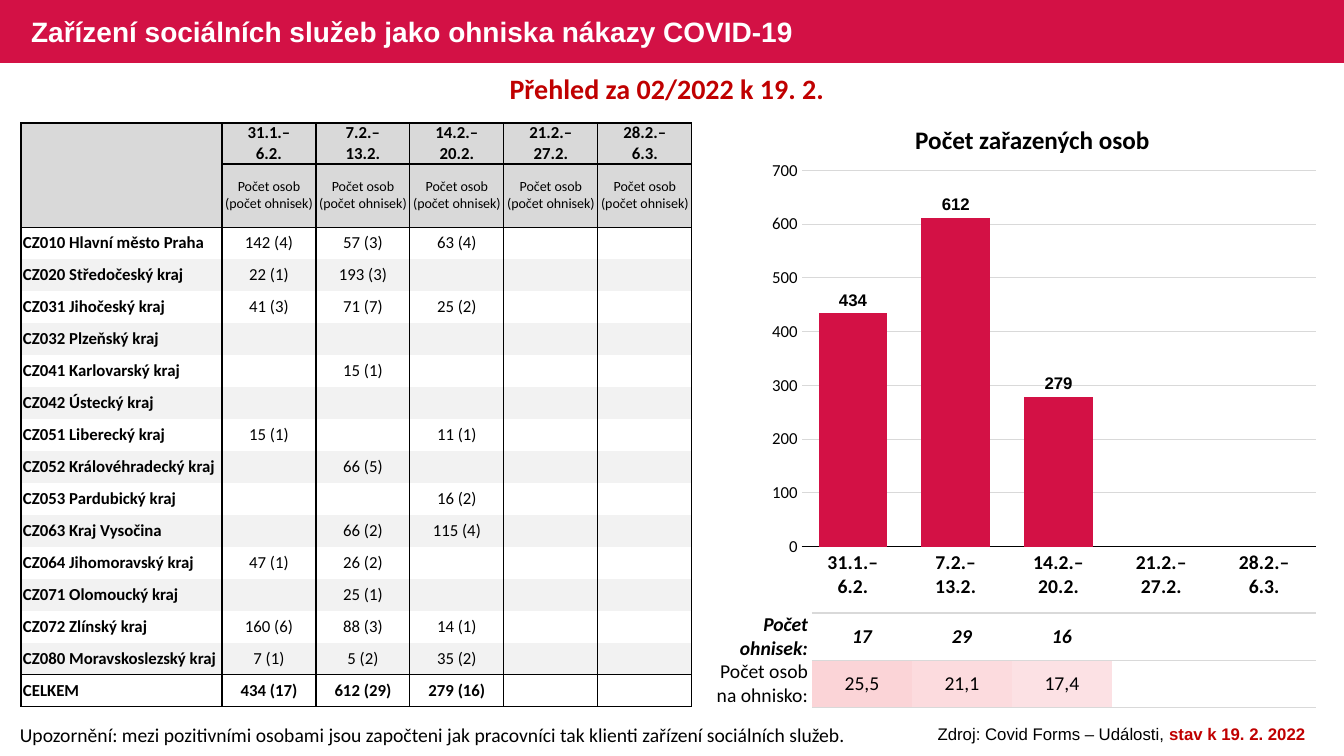
from copy import deepcopy

from lxml.etree import SubElement
from pptx import Presentation
from pptx.chart.data import CategoryChartData
from pptx.dml.color import RGBColor
from pptx.enum.chart import XL_CHART_TYPE, XL_LABEL_POSITION, XL_TICK_MARK
from pptx.enum.shapes import MSO_SHAPE
from pptx.enum.text import MSO_ANCHOR, PP_ALIGN
from pptx.oxml import parse_xml
from pptx.oxml.ns import nsdecls, qn
from pptx.util import Emu, Pt

CRIMSON, DARK_RED, BLACK, WHITE = "D31145", "C00000", "000000", "FFFFFF"
HEADER_GREY, BAND_GREY, RULE_GREY = "D9D9D9", "F2F2F2", "D9D9D9"
NO_TABLE_STYLE = "{2D5ABB26-0587-4C30-8999-92F81FD0307C}"

WEEKS = ["31.1.–\n6.2.", "7.2.–\n13.2.", "14.2.–\n20.2.", "21.2.–\n27.2.", "28.2.–\n6.3."]
PERSONS = [434, 612, 279, None, None]
OUTBREAKS = ["17", "29", "16", "", ""]
PERSONS_PER_OUTBREAK = ["25,5", "21,1", "17,4", "", ""]
RATIO_FILLS = ["FBD4D7", "FCDBDE", "FCE1E4", None, None]
REGIONS = [
    ["CZ010 Hlavní město Praha", "142 (4)", "57 (3)", "63 (4)"],
    ["CZ020 Středočeský kraj", "22 (1)", "193 (3)", ""],
    ["CZ031 Jihočeský kraj", "41 (3)", "71 (7)", "25 (2)"],
    ["CZ032 Plzeňský kraj", "", "", ""],
    ["CZ041 Karlovarský kraj", "", "15 (1)", ""],
    ["CZ042 Ústecký kraj", "", "", ""],
    ["CZ051 Liberecký kraj", "15 (1)", "", "11 (1)"],
    ["CZ052 Královéhradecký kraj", "", "66 (5)", ""],
    ["CZ053 Pardubický kraj", "", "", "16 (2)"],
    ["CZ063 Kraj Vysočina", "", "66 (2)", "115 (4)"],
    ["CZ064 Jihomoravský kraj", "47 (1)", "26 (2)", ""],
    ["CZ071 Olomoucký kraj", "", "25 (1)", ""],
    ["CZ072 Zlínský kraj", "160 (6)", "88 (3)", "14 (1)"],
    ["CZ080 Moravskoslezský kraj", "7 (1)", "5 (2)", "35 (2)"],
]
TOTAL = ["CELKEM", "434 (17)", "612 (29)", "279 (16)"]


def px(length):
    return Emu(round(length * 914400 / 100.8))


def colour(value):
    return RGBColor.from_string(value)


def set_font(font, size, name="Calibri", tint=BLACK, bold=False, italic=False):
    font.size, font.name, font.bold, font.italic = Pt(size), name, bold, italic
    font.color.rgb = colour(tint)


def write(paragraph, text, size, align=PP_ALIGN.CENTER, **style):
    paragraph.text = text
    paragraph.alignment = align
    for run in paragraph.runs:
        set_font(run.font, size, **style)
    for line_break in paragraph._p.findall(qn("a:br")):
        line_break.append(deepcopy(paragraph.runs[0].font._element))
    if not text:
        paragraph._p.get_or_add_endParaRPr().set("sz", str(size * 100))


def add_text(slide, box, text, size, **style):
    frame = slide.shapes.add_textbox(*map(px, box)).text_frame
    frame.word_wrap = True
    write(frame.paragraphs[0], text, size, **style)
    return frame.paragraphs[0]


def add_grid(slide, left, top, widths, heights):
    table = slide.shapes.add_table(len(heights), len(widths), px(left), px(top),
                                   px(sum(widths)), px(sum(heights))).table
    table.first_row = table.horz_banding = False
    table._tbl.tblPr.find(qn("a:tableStyleId")).text = NO_TABLE_STYLE
    for column, width in zip(table.columns, widths):
        column.width = px(width)
    for row, height in zip(table.rows, heights):
        row.height = px(height)
    return table


def fill_cell(cell, text, size, fill=None, borders=None, margins=(1, 1), **style):
    cell.margin_left, cell.margin_right = map(px, margins)
    cell.margin_top = cell.margin_bottom = 0
    cell.vertical_anchor = MSO_ANCHOR.MIDDLE
    write(cell.text_frame.paragraphs[0], text, size, **style)
    for side in "LRTB":
        tint, width = (borders or {}).get(side, (None, 0))
        line = SubElement(cell._tc.get_or_add_tcPr(), qn("a:ln" + side), w=str(Pt(width)))
        if tint:
            SubElement(SubElement(line, qn("a:solidFill")), qn("a:srgbClr"), val=tint)
        else:
            SubElement(line, qn("a:noFill"))
    if fill:
        cell.fill.solid()
        cell.fill.fore_color.rgb = colour(fill)
    else:
        cell.fill.background()


def add_heading(slide, left, top, width, height):
    band = slide.shapes.add_shape(MSO_SHAPE.RECTANGLE, *map(px, (left, top, width, height)))
    band.shadow.inherit = False
    band.fill.solid()
    band.fill.fore_color.rgb = colour(CRIMSON)
    band.line.fill.background()
    slide.shapes._spTree.insert(2, band._element)
    title = slide.shapes.title
    title.left, title.top, title.width, title.height = map(px, (left + 21, top + 2, 820, height))
    title.text_frame.vertical_anchor = MSO_ANCHOR.MIDDLE
    headline = title.text_frame.paragraphs[0]
    write(headline, "Zařízení sociálních služeb jako ohniska nákazy COVID-19", 20,
          align=PP_ALIGN.LEFT, name="Arial", tint=WHITE, bold=True)
    headline.line_spacing = 0.9
    add_text(slide, (left + 21, top + 67, 1292, 44), "Přehled za 02/2022 k 19. 2.", 20,
             tint=DARK_RED, bold=True)


def add_region_table(slide, left, top):
    body = [row + ["", ""] for row in REGIONS + [TOTAL]]
    table = add_grid(slide, left, top, [201] + [94] * 5, [41, 63] + [32] * len(body))
    thick, thin = (BLACK, 1), (BLACK, 0.5)
    sides = {"L": thick, "R": thick}
    for row, edges in enumerate(({"T": thick}, {"B": thin})):
        fill_cell(table.cell(row, 0), "", 12, HEADER_GREY, {**sides, **edges})
    for column, week in enumerate(WEEKS, 1):
        fill_cell(table.cell(0, column), week, 12, HEADER_GREY,
                  {**sides, "T": thick, "B": thick}, bold=True)
        fill_cell(table.cell(1, column), "Počet osob (počet ohnisek)", 10, HEADER_GREY,
                  {**sides, "T": thick, "B": thin})
    last = len(body) - 1
    body_edges = {0: {"T": thin}, last - 1: {"B": thick}, last: {"T": thick, "B": thick}}
    for row, texts in enumerate(body):
        for column, text in enumerate(texts):
            is_label = column == 0
            fill_cell(table.cell(row + 2, column), text, 12,
                      BAND_GREY if row % 2 else None, {**sides, **body_edges.get(row, {})},
                      margins=(2, 2) if is_label else (1, 1),
                      align=PP_ALIGN.LEFT if is_label else PP_ALIGN.CENTER,
                      bold=is_label or row == last)


def add_outbreak_values(slide, left, top):
    table = add_grid(slide, left, top, [100] * 5, [47, 47])
    rows = [(OUTBREAKS, [None] * 5, True), (PERSONS_PER_OUTBREAK, RATIO_FILLS, False)]
    for row, (values, fills, strong) in enumerate(rows):
        for column, (value, fill) in enumerate(zip(values, fills)):
            fill_cell(table.cell(row, column), value, 14, fill, bold=strong, italic=strong)


def add_outbreak_labels(slide, left, top):
    table = add_grid(slide, left, top, [102] + [72] * 7, [47, 47])
    rule = (RULE_GREY, 1)
    rows = [("Počet ohnisek:", True), ("Počet osob na ohnisko:", False)]
    for row, (label, strong) in enumerate(rows):
        fill_cell(table.cell(row, 0), label, 14, margins=(1, 4), align=PP_ALIGN.RIGHT,
                  bold=strong, italic=strong)
        for column in range(1, 8):
            fill_cell(table.cell(row, column), "", 14, borders={"T": rule, "B": rule})


def add_person_chart(slide, left, top, width, height):
    data = CategoryChartData()
    data.categories = WEEKS
    data.add_series("Series 1", PERSONS)
    chart = slide.shapes.add_chart(XL_CHART_TYPE.COLUMN_CLUSTERED,
                                   *map(px, (left, top, width, height)), data).chart
    chart.has_title = chart.has_legend = False
    set_font(chart.font, 14, name="Arial", bold=True)
    weeks, counts = chart.category_axis, chart.value_axis
    for axis in (weeks, counts):
        axis.major_tick_mark = axis.minor_tick_mark = XL_TICK_MARK.NONE
    set_font(weeks.tick_labels.font, 14, bold=True)
    weeks.format.line.color.rgb = colour(BLACK)
    weeks.format.line.width = Pt(0.75)
    set_font(counts.tick_labels.font, 12)
    counts.minimum_scale, counts.maximum_scale, counts.major_unit = 0, 700, 100
    counts.format.line.fill.background()
    counts.major_gridlines.format.line.color.rgb = colour(RULE_GREY)
    counts.major_gridlines.format.line.width = Pt(0.75)
    plot = chart.plots[0]
    plot.gap_width, plot.vary_by_categories = 50, False
    persons = plot.series[0]
    persons.format.fill.solid()
    persons.format.fill.fore_color.rgb = colour(CRIMSON)
    labels = persons.data_labels
    labels.show_value, labels.position = True, XL_LABEL_POSITION.OUTSIDE_END
    set_font(labels.font, 12, name="Arial", bold=True)
    area = chart._chartSpace.chart.plotArea
    for layout in area.findall(qn("c:layout")):
        area.remove(layout)
    area.insert(0, parse_xml(
        f'<c:layout {nsdecls("c")}><c:manualLayout><c:layoutTarget val="inner"/>'
        '<c:xMode val="edge"/><c:yMode val="edge"/><c:x val="0.07"/><c:y val="0.04"/>'
        '<c:w val="0.91"/><c:h val="0.82"/></c:manualLayout></c:layout>'))
    add_text(slide, (left, top - 33, 541, 40), "Počet zařazených osob", 18, bold=True)


def add_footer(slide, left, top):
    add_text(slide, (left, top, 859, 34),
             "Upozornění: mezi pozitivními osobami jsou započteni jak pracovníci "
             "tak klienti zařízení sociálních služeb.", 14, align=PP_ALIGN.LEFT)
    source = add_text(slide, (left + 900, top + 1, 423, 30),
                      "Zdroj: Covid Forms – Události, ", 12, name="Arial")
    status = source.add_run()
    status.text = "stav k 19. 2. 2022"
    set_font(status.font, 12, name="Arial", tint=DARK_RED, bold=True)


def main():
    deck = Presentation()
    deck.slide_width, deck.slide_height = px(1344), px(756)
    slide = deck.slides.add_slide(deck.slide_layouts[5])
    add_heading(slide, 0, 0, 1344, 63)
    add_outbreak_values(slide, 812, 613)
    add_footer(slide, 10, 718)
    add_region_table(slide, 21, 123)
    add_person_chart(slide, 762, 152, 565, 459)
    add_outbreak_labels(slide, 710, 613)
    deck.save("out.pptx")


if __name__ == "__main__":
    main()
